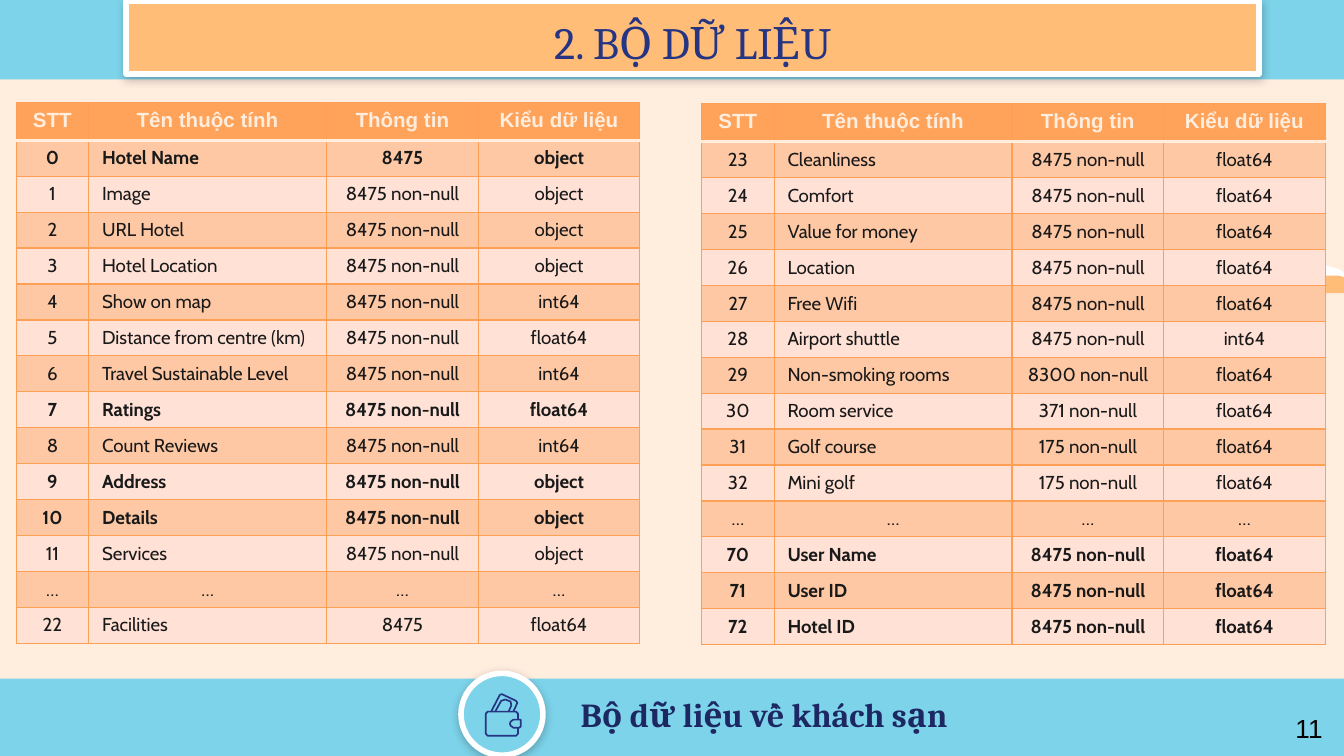
from dataclasses import dataclass

from lxml import etree
from pptx import Presentation
from pptx.dml.color import RGBColor
from pptx.enum.shapes import MSO_SHAPE
from pptx.enum.text import MSO_ANCHOR, PP_ALIGN
from pptx.oxml import parse_xml
from pptx.oxml.ns import nsdecls, qn
from pptx.util import Inches, Pt

RECTANGLE, OVAL = MSO_SHAPE.RECTANGLE, MSO_SHAPE.OVAL
LEFT, CENTER = PP_ALIGN.LEFT, PP_ALIGN.CENTER
TOP, MIDDLE, BOTTOM = MSO_ANCHOR.TOP, MSO_ANCHOR.MIDDLE, MSO_ANCHOR.BOTTOM


@dataclass(frozen=True)
class Theme:
    cream: str = "FFEDDE"
    sky: str = "7CD3EA"
    peach: str = "FFBD77"
    white: str = "FFFFFF"
    navy: str = "263583"
    dark_navy: str = "1D2862"
    ink: str = "191919"
    black: str = "000000"
    header: str = "FFA35A"
    border: str = "FD9F54"
    band: str = "FFC8A4"
    plain: str = "FFE1D6"
    serif: str = "Cambria"
    sans: str = "Arial"
    body: str = "Cabin"
    title_size: int = 24
    subtitle_size: int = 18
    number_size: int = 14
    header_size: int = 11
    cell_size: int = 10


THEME = Theme()
SLIDE_WIDTH = 10
COLUMN_WIDTHS = (0.54, 1.77, 1.13, 1.2)
ROW_HEIGHT = 0.25
HEADERS = ("STT", "Tên thuộc tính", "Thông tin", "Kiểu dữ liệu")
BOLD_KEYS = {"0", "7", "9", "10", "70", "71", "72"}
LEFT_ROWS = """0|Hotel Name|8475|object
1|Image|8475 non-null|object
2|URL Hotel|8475 non-null|object
3|Hotel Location|8475 non-null|object
4|Show on map|8475 non-null|int64
5|Distance from centre (km)|8475 non-null|float64
6|Travel Sustainable Level|8475 non-null|int64
7|Ratings|8475 non-null|float64
8|Count Reviews|8475 non-null|int64
9|Address|8475 non-null|object
10|Details|8475 non-null|object
11|Services|8475 non-null|object
…|…|…|…
22|Facilities|8475|float64"""
RIGHT_ROWS = """23|Cleanliness|8475 non-null|float64
24|Comfort|8475 non-null|float64
25|Value for money|8475 non-null|float64
26|Location|8475 non-null|float64
27|Free Wifi|8475 non-null|float64
28|Airport shuttle|8475 non-null|int64
29|Non-smoking rooms|8300 non-null|float64
30|Room service|371 non-null|float64
31|Golf course|175 non-null|float64
32|Mini golf|175 non-null|float64
…|…|…|…
70|User Name|8475 non-null|float64
71|User ID|8475 non-null|float64
72|Hotel ID|8475 non-null|float64"""
WHITE_CLOUD = [
    (59, 0), (48, 0, 36, 7, 33, 18), (30, 16, 26, 15, 22, 15), (18, 15, 15, 16, 11, 17),
    (6, 20, 2, 24, 0, 29), (171, 29), (165, 24, 158, 22, 150, 22), (144, 22, 138, 23, 133, 27),
    (130, 20, 123, 15, 115, 14), (114, 13, 113, 13, 111, 13), (105, 13, 98, 16, 93, 21),
    (86, 11, 76, 2, 63, 1), (62, 0, 61, 0, 59, 0)]
PEACH_CLOUD = [
    (61, 0), (60, 0, 59, 0, 58, 0), (46, 1, 35, 7, 27, 17), (24, 14, 20, 13, 16, 13),
    (14, 13, 12, 13, 9, 14), (6, 15, 3, 17, 0, 19), (149, 19), (146, 15, 141, 11, 136, 9),
    (130, 7, 123, 6, 117, 6), (106, 6, 96, 8, 90, 15), (84, 5, 72, 0, 61, 0)]
WALLET_STROKES = [
    ([(49, 41), (49, 32), (46, 29), (4, 29), (1, 32), (1, 62), (4, 65), (46, 65),
      (49, 62), (49, 53)], False),
    ([(53, 41), (42, 41), (38, 44), (37, 47), (38, 50), (42, 53), (51, 53), (53, 51)], True),
    ([(9, 29), (22, 4), (25, 3), (46, 13), (48, 16), (42, 29)], False),
    ([(15, 29), (24, 13), (30, 11), (38, 14), (39, 20), (35, 29)], False)]


def rgb(color):
    return RGBColor.from_string(color)


def write(frame, text, color, align=CENTER, **formats):
    paragraph = frame.paragraphs[0]
    paragraph.alignment = align
    run = paragraph.add_run()
    run.text = text
    for name, value in formats.items():
        setattr(run.font, name, value)
    run.font.color.rgb = rgb(color)


def set_frame(frame, anchor, vertical_inset=0.1):
    formats = {"word_wrap": True, "vertical_anchor": anchor,
               "margin_left": Inches(0.1), "margin_right": Inches(0.1),
               "margin_top": Inches(vertical_inset), "margin_bottom": Inches(vertical_inset)}
    for name, value in formats.items():
        setattr(frame, name, value)


def add_panel(slide, box, kind, color, framed=False):
    shape = slide.shapes.add_shape(kind, *map(Inches, box))
    shape.shadow.inherit = False
    shape.fill.solid()
    shape.fill.fore_color.rgb = rgb(color)
    if not framed:
        shape.line.fill.background()
        return shape
    shape.line.color.rgb = rgb(THEME.white)
    shape.line.width = Pt(3)
    effects = shape._element.spPr.find(qn("a:effectLst"))
    effects.append(parse_xml(
        f'<a:outerShdw {nsdecls("a")} blurRad="{Pt(4.5)}" dist="{Pt(1.5)}" dir="5400000" '
        f'algn="bl" rotWithShape="0"><a:srgbClr val="{THEME.ink}"><a:alpha val="25000"/>'
        '</a:srgbClr></a:outerShdw>'))
    return shape


def flatten(outline, steps=6):
    points = [outline[0]]
    for segment in outline[1:]:
        if len(segment) == 2:
            points.append(segment)
            continue
        controls = (points[-1], segment[:2], segment[2:4], segment[4:])
        for step in range(1, steps + 1):
            t = step / steps
            weights = ((1 - t) ** 3, 3 * t * (1 - t) ** 2, 3 * t * t * (1 - t), t ** 3)
            points.append(tuple(sum(w * c[axis] for w, c in zip(weights, controls)) for axis in (0, 1)))
    return points


def add_cloud(slide, left, top, outline, color):
    points = flatten(outline)
    builder = slide.shapes.build_freeform(*points[0], scale=Inches(0.01))
    builder.add_line_segments(points[1:], close=True)
    cloud = builder.convert_to_shape(Inches(left), Inches(top))
    cloud.shadow.inherit = False
    cloud.fill.solid()
    cloud.fill.fore_color.rgb = rgb(color)
    cloud.line.fill.background()


def add_wallet(slide, left, top):
    first = WALLET_STROKES[0][0][0]
    builder = slide.shapes.build_freeform(*first, scale=Inches(0.01) / 2)
    for index, (points, closed) in enumerate(WALLET_STROKES):
        if index:
            builder.move_to(*points[0])
        builder.add_line_segments(points[1:], close=closed)
    wallet = builder.convert_to_shape(Inches(left), Inches(top))
    wallet.shadow.inherit = False
    wallet.fill.background()
    wallet.line.color.rgb = rgb(THEME.navy)
    wallet.line.width = Pt(0.9)


def add_text(slide, box, text, color, anchor, vertical_inset, **formats):
    frame = slide.shapes.add_textbox(*map(Inches, box)).text_frame
    set_frame(frame, anchor, vertical_inset)
    write(frame, text, color, **formats)


def set_borders(cell, row):
    properties = cell._tc.get_or_add_tcPr()
    cream_side = {0: "B", 1: "T"}.get(row)
    for side in "LRTB":
        color, width = (THEME.cream, 2) if side == cream_side else (THEME.border, 0.75)
        line = etree.SubElement(properties, qn(f"a:ln{side}"), w=str(Pt(width)))
        fill = etree.SubElement(line, qn("a:solidFill"))
        etree.SubElement(fill, qn("a:srgbClr"), val=color)


def add_attribute_table(slide, left, top, rows):
    records = [HEADERS] + [line.split("|") for line in rows.splitlines()]
    size = (sum(COLUMN_WIDTHS), ROW_HEIGHT * len(records))
    table = slide.shapes.add_table(
        len(records), len(HEADERS), *map(Inches, (left, top, *size))).table
    table.horz_banding = False
    for column, width in zip(table.columns, COLUMN_WIDTHS):
        column.width = Inches(width)
    header = {"name": THEME.sans, "size": Pt(THEME.header_size), "bold": True}
    for row, record in enumerate(records):
        body = {"name": THEME.body, "size": Pt(THEME.cell_size), "bold": record[0] in BOLD_KEYS}
        background = THEME.header if row == 0 else THEME.band if row % 2 else THEME.plain
        for column, text in enumerate(record):
            cell = table.cell(row, column)
            set_borders(cell, row)
            cell.fill.solid()
            cell.fill.fore_color.rgb = rgb(background)
            cell.vertical_anchor = MIDDLE if row and text != "…" else TOP
            align = LEFT if row and column == 1 and text != "…" else CENTER
            write(cell.text_frame, text, THEME.ink if row else THEME.cream, align,
                  **(body if row else header))


def add_backdrop(slide):
    slide.background.fill.solid()
    slide.background.fill.fore_color.rgb = rgb(THEME.cream)
    for top in (5.05, 0):
        add_panel(slide, (0, top, 10.02, 0.59), RECTANGLE, THEME.sky)
    add_cloud(slide, 8.73, 1.84, WHITE_CLOUD, THEME.white)
    add_cloud(slide, 8.73, 1.99, PEACH_CLOUD, THEME.peach)


def add_title(slide, box):
    banner = add_panel(slide, box, RECTANGLE, THEME.peach, framed=True)
    set_frame(banner.text_frame, TOP)
    write(banner.text_frame, "2. BỘ DỮ LIỆU", THEME.navy, name=THEME.serif, size=Pt(THEME.title_size))


def add_footer(slide, left, top):
    add_panel(slide, (left, top, 0.61, 0.61), OVAL, THEME.sky, framed=True)
    add_wallet(slide, left + 0.18, top + 0.14)
    add_text(slide, (left + 0.54, top + 0.14, 3.43, 0.41), "Bộ dữ liệu về khách sạn",
             THEME.dark_navy, BOTTOM, 0.1, name=THEME.serif, size=Pt(THEME.subtitle_size), bold=True)


def main():
    presentation = Presentation()
    presentation.slide_width = Inches(SLIDE_WIDTH)
    presentation.slide_height = Inches(SLIDE_WIDTH * 9 / 16)
    slide = presentation.slides.add_slide(presentation.slide_layouts[6])
    add_backdrop(slide)
    add_title(slide, (0.94, 0.01, 8.43, 0.54))
    add_footer(slide, 3.43, 5.01)
    add_attribute_table(slide, 0.12, 0.76, LEFT_ROWS)
    add_attribute_table(slide, 5.22, 0.77, RIGHT_ROWS)
    add_text(slide, (9.54, 5.25, 0.42, 0.34), "11", THEME.black, TOP, 0.05, align=LEFT,
             name=THEME.sans, size=Pt(THEME.number_size))
    presentation.save("out.pptx")


if __name__ == "__main__":
    main()
